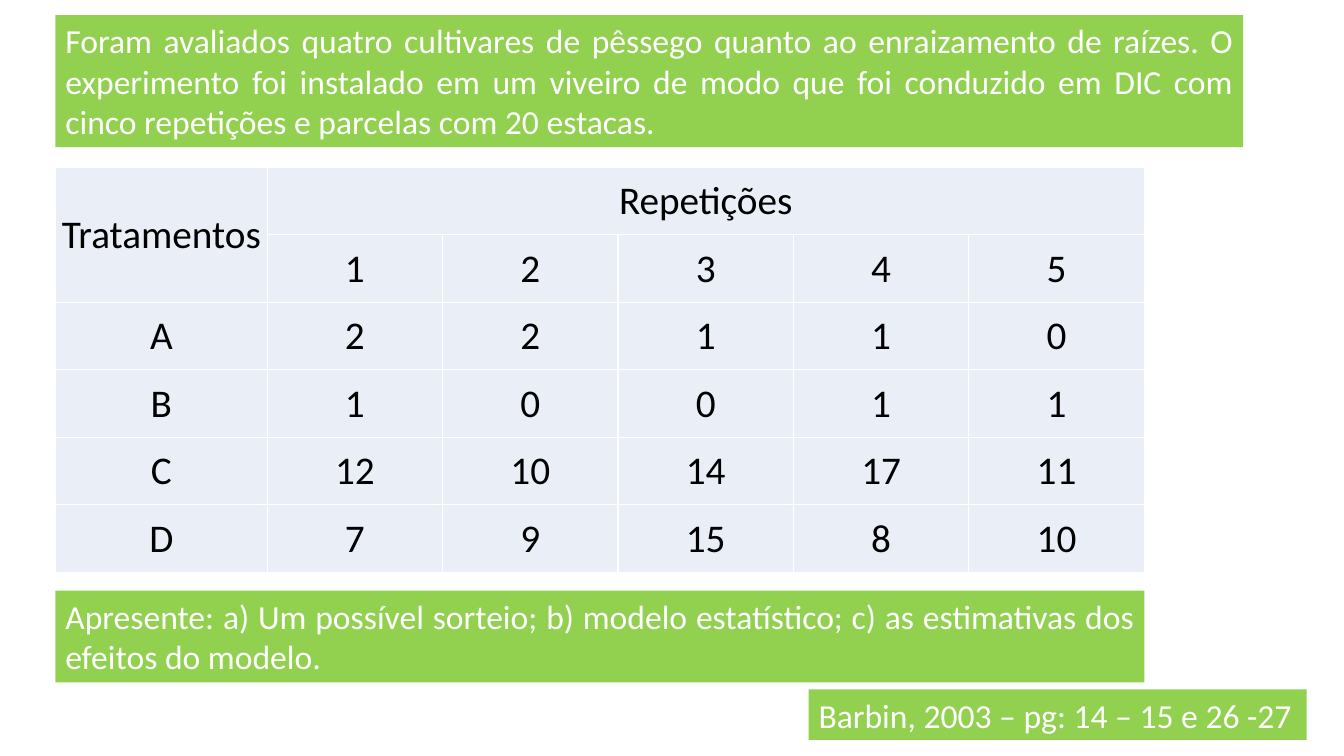
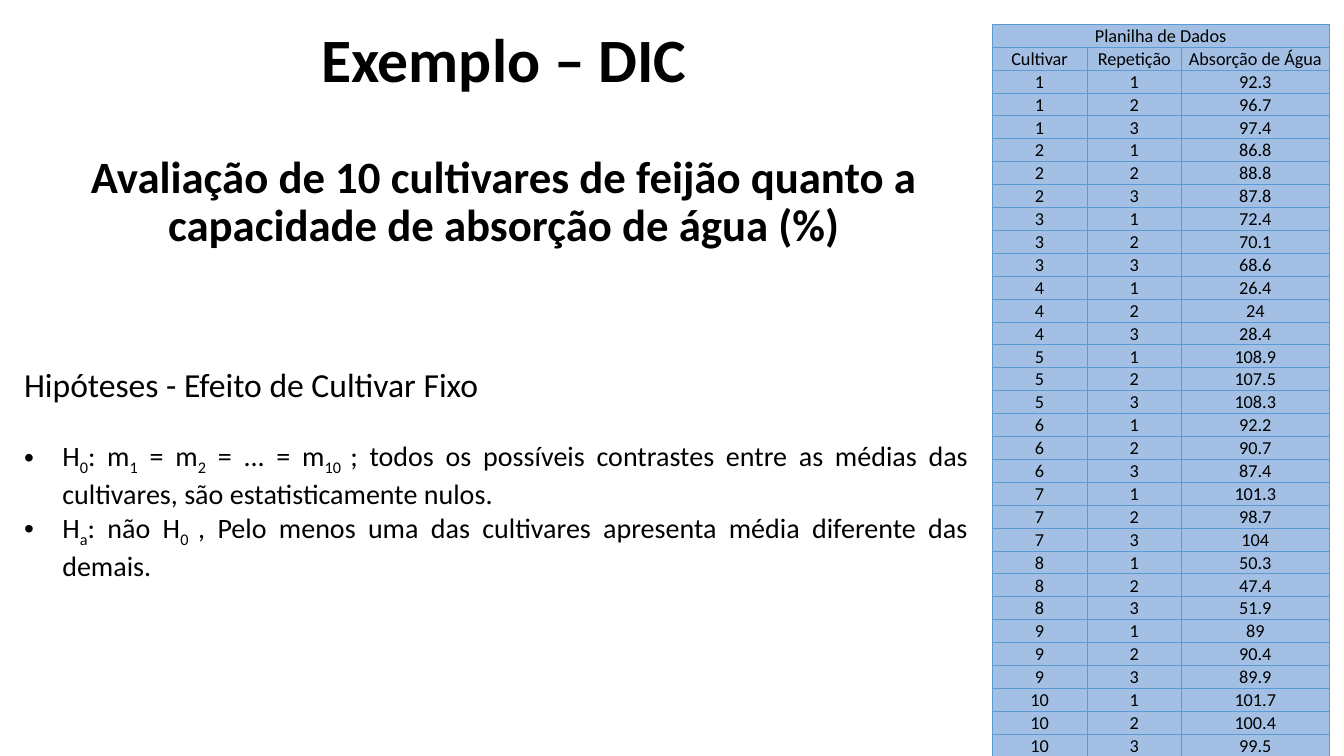
from lxml import etree
from pptx import Presentation
from pptx.dml.color import RGBColor
from pptx.enum.shapes import MSO_SHAPE
from pptx.enum.text import MSO_ANCHOR, PP_ALIGN
from pptx.oxml.ns import qn
from pptx.util import Inches, Pt

RECTANGLE = MSO_SHAPE.RECTANGLE
TOP, MIDDLE, BOTTOM = MSO_ANCHOR.TOP, MSO_ANCHOR.MIDDLE, MSO_ANCHOR.BOTTOM
CENTER, JUSTIFY = PP_ALIGN.CENTER, PP_ALIGN.JUSTIFY

FONT = "Calibri"
COLORS = {
    "text": "000000",
    "light_text": "FFFFFF",
    "band": "92D050",
    "trial_cell": "EAEFF7",
    "trial_border": "FFFFFF",
    "sheet_cell": "A3C0E4",
    "sheet_border": "5B9BD5",
}

TRIAL_FORMAT = {"size": 28, "anchor": MIDDLE, "fill": "trial_cell",
                "border": "trial_border", "border_width": 1}
SHEET_FORMAT = {"size": 13, "anchor": BOTTOM, "fill": "sheet_cell",
                "border": "sheet_border", "border_width": 0.5}
CELL_MARGINS = {"margin_left": 0.01, "margin_right": 0.01,
                "margin_top": 0.01, "margin_bottom": 0}

STATEMENT = ("Foram avaliados quatro cultivares de pêssego quanto ao enraizamento de raízes. "
             "O experimento foi instalado em um viveiro de modo que foi conduzido em DIC "
             "com cinco repetições e parcelas com 20 estacas.")
TASK = ("Apresente: a) Um possível sorteio; b) modelo estatístico; "
        "c) as estimativas dos efeitos do modelo.")
REFERENCE = "Barbin, 2003 – pg: 14 – 15 e 26 -27"

TRIAL_ROWS = [
    ["Tratamentos", "Repetições", "", "", "", ""],
    ["", 1, 2, 3, 4, 5],
    ["A", 2, 2, 1, 1, 0],
    ["B", 1, 0, 0, 1, 1],
    ["C", 12, 10, 14, 17, 11],
    ["D", 7, 9, 15, 8, 10],
]

REPETITIONS = 3
ABSORPTION = [
    92.3, 96.7, 97.4, 86.8, 88.8, 87.8, 72.4, 70.1, 68.6, 26.4, 24, 28.4,
    108.9, 107.5, 108.3, 92.2, 90.7, 87.4, 101.3, 98.7, 104, 50.3, 47.4, 51.9,
    89, 90.4, 89.9, 101.7, 100.4, 99.5,
]
SHEET_ROWS = [
    ["Planilha de Dados", "", ""],
    ["Cultivar", "Repetição", "Absorção de Água"],
] + [[i // REPETITIONS + 1, i % REPETITIONS + 1, value]
     for i, value in enumerate(ABSORPTION)]

# Normal and subscript pieces alternate, starting with a normal one.
HYPOTHESES = [
    ["H", "0", ": m", "1", " = m", "2", " = ... = m", "10 ",
     "; todos os possíveis contrastes entre as médias das cultivares, "
     "são estatisticamente nulos."],
    ["H", "a", ": não H", "0 ",
     ", Pelo menos uma das cultivares apresenta média diferente das demais."],
]


def color(name):
    return RGBColor.from_string(COLORS[name])


def add_run(paragraph, text, size, color_name="text", bold=False, subscript=False):
    run = paragraph.add_run()
    run.text = text
    for attribute, value in {"name": FONT, "size": Pt(size), "bold": bold}.items():
        setattr(run.font, attribute, value)
    run.font.color.rgb = color(color_name)
    if subscript:
        run._r.get_or_add_rPr().set("baseline", "-25000")


def add_text_frame(slide, left, top, width, height):
    box = slide.shapes.add_textbox(Inches(left), Inches(top), Inches(width), Inches(height))
    box.text_frame.word_wrap = True
    return box.text_frame


def add_band(slide, left, top, width, height, text):
    band = slide.shapes.add_shape(RECTANGLE, Inches(left), Inches(top),
                                  Inches(width), Inches(height))
    band.shadow.inherit = False
    band.fill.solid()
    band.fill.fore_color.rgb = color("band")
    band.line.fill.background()
    frame = band.text_frame
    frame.word_wrap = True
    frame.vertical_anchor = TOP
    paragraph = frame.paragraphs[0]
    paragraph.alignment = JUSTIFY
    add_run(paragraph, text, 24, "light_text")


def set_borders(cell, color_name, width):
    properties = cell._tc.get_or_add_tcPr()
    for side in ("a:lnL", "a:lnR", "a:lnT", "a:lnB"):
        line = etree.SubElement(properties, qn(side), w=str(Pt(width)))
        fill = etree.SubElement(line, qn("a:solidFill"))
        etree.SubElement(fill, qn("a:srgbClr"), val=COLORS[color_name])


def add_grid(slide, left, top, widths, row_height, rows, style, merges):
    """Add a table; merges lists pairs of (row, column) corners."""
    table = slide.shapes.add_table(
        len(rows), len(widths), Inches(left), Inches(top),
        Inches(sum(widths)), Inches(row_height * len(rows))).table
    table.first_row = table.horz_banding = False
    for column, width in zip(table.columns, widths):
        column.width = Inches(width)
    for table_row, values in zip(table.rows, rows):
        table_row.height = Inches(row_height)
        for cell, value in zip(table_row.cells, values):
            for margin, inches in CELL_MARGINS.items():
                setattr(cell, margin, Inches(inches))
            cell.vertical_anchor = style["anchor"]
            set_borders(cell, style["border"], style["border_width"])
            cell.fill.solid()
            cell.fill.fore_color.rgb = color(style["fill"])
            paragraph = cell.text_frame.paragraphs[0]
            paragraph.alignment = CENTER
            paragraph.font.size = Pt(style["size"])
            if value != "":
                add_run(paragraph, str(value), style["size"])
    for first, last in merges:
        table.cell(*first).merge(table.cell(*last))


def add_title(slide, left, top, width, height):
    frame = add_text_frame(slide, left, top, width, height)
    heading, subject = frame.paragraphs[0], frame.add_paragraph()
    for paragraph in (heading, subject):
        paragraph.alignment = CENTER
        paragraph.line_spacing = 0.9
    subject.space_before = Pt(42)
    add_run(heading, "Exemplo – DIC", 44, bold=True)
    add_run(subject, "Avaliação de 10 cultivares de feijão quanto a "
                     "capacidade de absorção de água (%)", 32, bold=True)


def make_bullet(paragraph, indent):
    properties = paragraph._p.get_or_add_pPr()
    properties.set("marL", str(Inches(indent)))
    properties.set("indent", str(-Inches(indent)))
    etree.SubElement(properties, qn("a:buFont"), typeface="Arial")
    etree.SubElement(properties, qn("a:buChar"), char="•")


def add_hypotheses(slide, left, top, width, height):
    frame = add_text_frame(slide, left, top, width, height)
    heading = frame.paragraphs[0]
    heading.alignment = JUSTIFY
    heading.space_after = Pt(24.4)
    add_run(heading, "Hipóteses - Efeito de Cultivar Fixo", 24)
    for pieces in HYPOTHESES:
        hypothesis = frame.add_paragraph()
        hypothesis.alignment = JUSTIFY
        make_bullet(hypothesis, 0.38)
        for i, piece in enumerate(pieces):
            add_run(hypothesis, piece, 20, subscript=i % 2 == 1)


def build_exercise(slide):
    left, width = 0.55, 10.8
    add_grid(slide, left, 1.66, [2.1] + [1.74] * 5, 0.67, TRIAL_ROWS, TRIAL_FORMAT,
             [((0, 0), (1, 0)), ((0, 1), (0, 5))])
    add_band(slide, left, 0.15, 11.78, 1.31, STATEMENT)
    add_band(slide, 8.02, 6.84, 4.94, 0.5, REFERENCE)
    add_band(slide, left, 5.86, width, 0.91, TASK)


def build_example(slide):
    add_title(slide, 0.3, 0.24, 9.4, 2.4)
    add_grid(slide, 9.84, 0.24, [0.94, 0.94, 1.46], 0.22, SHEET_ROWS, SHEET_FORMAT,
             [((0, 0), (0, 2))])
    add_hypotheses(slide, 0.14, 3.56, 9.56, 2.18)


def main():
    presentation = Presentation()
    presentation.slide_width = Inches(13.33)
    presentation.slide_height = Inches(7.5)
    blank = presentation.slide_layouts[6]
    for build in (build_exercise, build_example):
        build(presentation.slides.add_slide(blank))
    presentation.save("out.pptx")


if __name__ == "__main__":
    main()
